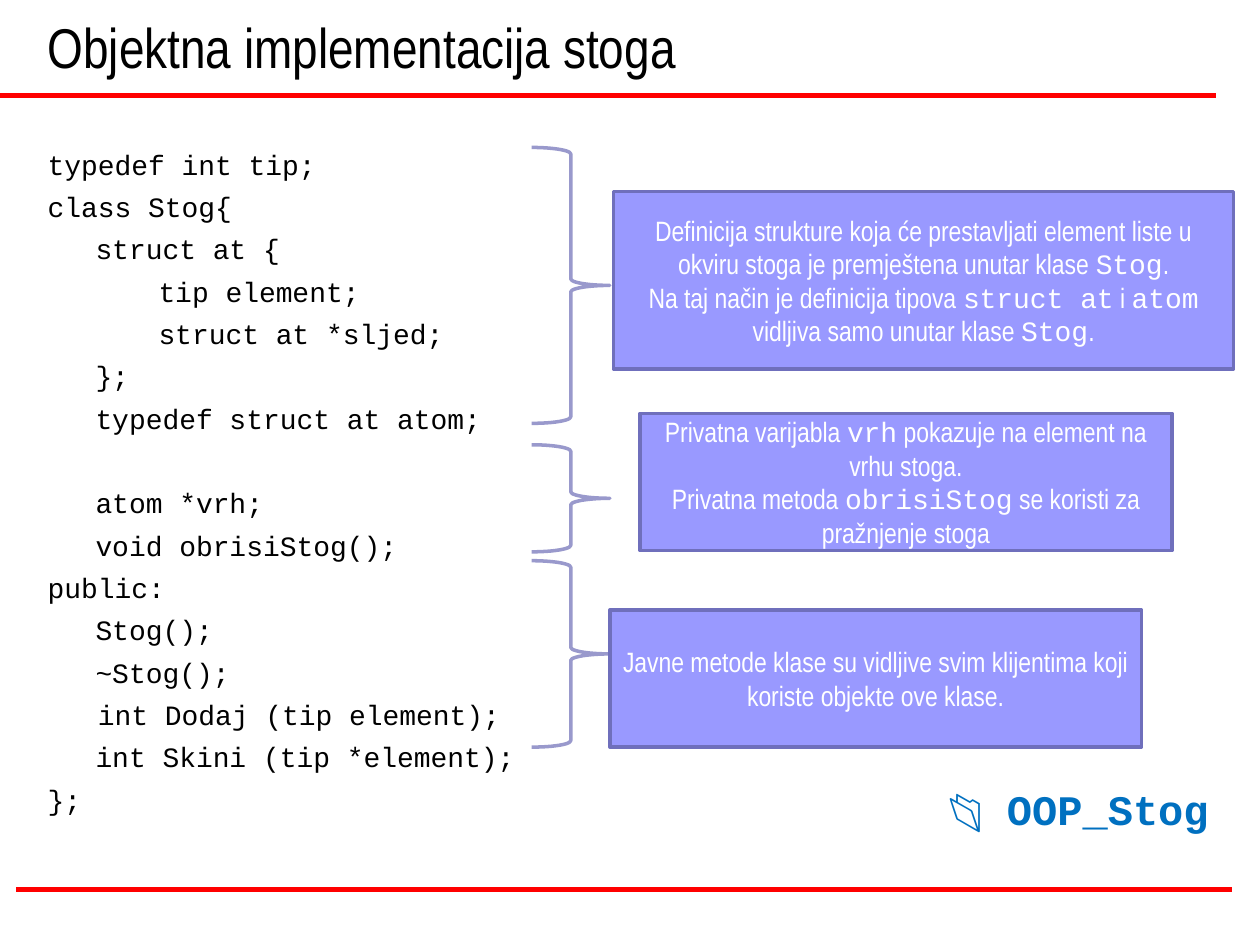
import pptx
import pptx.util
import pptx.dml.color
import pptx.enum.shapes
import pptx.enum.text
import pptx.oxml.ns
from lxml import etree

Inches, Pt = pptx.util.Inches, pptx.util.Pt
RGBColor = pptx.dml.color.RGBColor
Shape = pptx.enum.shapes.MSO_SHAPE
Align, Anchor = pptx.enum.text.PP_ALIGN, pptx.enum.text.MSO_ANCHOR
qn = pptx.oxml.ns.qn

BLACK = RGBColor(0x00, 0x00, 0x00)
WHITE = RGBColor(0xFF, 0xFF, 0xFF)
RED = RGBColor(0xFF, 0x00, 0x00)
BLUE = RGBColor(0x00, 0x70, 0xC0)
LILAC = RGBColor(0x99, 0x99, 0xFF)
LILAC_EDGE = RGBColor(0x6F, 0x6F, 0xBC)
BRACE = RGBColor(0x99, 0x99, 0xCC)
NARROW, MONO = "Arial Narrow", "Courier New"

# Content
TITLE = "Objektna implementacija stoga"
CODE = [
    "typedef int tip;",
    "class Stog{",
    "\tstruct at {",
    "\t\ttip element;",
    "\t\tstruct at *sljed;",
    "\t};",
    "\ttypedef struct at atom;",
    "",
    "\tatom *vrh;",
    "\tvoid obrisiStog();",
    "public:",
    "\tStog();",
    "\t~Stog();",
    "   int Dodaj (tip element);",
    "\tint Skini (tip *element);",
    "};",
]
# Each note: brace (top, height), box (left, top, width, height), paragraphs of (text, font)
NOTES = [
    ((1.17, 2.19), (4.87, 1.52, 4.92, 1.41), [
        [("Definicija strukture koja će prestavljati element liste u okviru stoga "
          "je premještena unutar klase ", NARROW), ("Stog", MONO), (".", NARROW)],
        [("Na taj način je definicija tipova ", NARROW), ("struct at", MONO),
         (" i ", NARROW), ("atom", MONO), (" vidljiva samo unutar klase ", NARROW),
         ("Stog", MONO), (".", NARROW)],
    ]),
    ((3.53, 0.85), (5.08, 3.28, 4.22, 1.09), [
        [("Privatna varijabla ", NARROW), ("vrh", MONO),
         (" pokazuje na element na vrhu stoga.", NARROW)],
        [("Privatna metoda ", NARROW), ("obrisiStog", MONO),
         (" se koristi za pražnjenje stoga", NARROW)],
    ]),
    ((4.45, 1.48), (4.84, 4.84, 4.22, 1.09), [
        [("Javne metode klase su vidljive svim klijentima koji koriste objekte "
          "ove klase.", NARROW)],
    ]),
]
PROJECT = [("📂", "Arial"), (" OOP_Stog", MONO)]
RULES = [(0, 0.76), (0.13, 7.06)]  # left, top
RULE_WIDTH = 9.65
BRACE_LEFT, BRACE_WIDTH = 4.22, 0.62
CODE_INDENT = 0.38


def add_rule(slide, left, top):
    rule = slide.shapes.add_connector(
        pptx.enum.shapes.MSO_CONNECTOR.STRAIGHT,
        Inches(left), Inches(top), Inches(left + RULE_WIDTH), Inches(top))
    rule.line.color.rgb = RED
    rule.line.width = Pt(3)
    etree.SubElement(rule._element.spPr, qn("a:effectLst"))


def add_text_box(slide, *box):
    frame = slide.shapes.add_textbox(*map(Inches, box)).text_frame
    frame.word_wrap = True
    return frame


def add_shape(slide, kind, box, line_color, fill=None):
    shape = slide.shapes.add_shape(kind, *map(Inches, box))
    shape.shadow.inherit = False
    shape.line.color.rgb = line_color
    shape.line.width = Pt(2)
    if fill is None:
        shape.fill.background()
    else:
        shape.fill.solid()
        shape.fill.fore_color.rgb = fill
    return shape


def write(frame, paragraphs, size, color, align=Align.LEFT, bold=False):
    for index, runs in enumerate(paragraphs):
        paragraph = frame.paragraphs[0] if index == 0 else frame.add_paragraph()
        paragraph.alignment = align
        for text, font in runs:
            run = paragraph.add_run()
            run.text = text
            run.font.name = font
            run.font.size = Pt(size)
            run.font.bold = bold
            run.font.color.rgb = color


def set_code_layout(paragraph, first):
    properties = paragraph._p.get_or_add_pPr()
    properties.set("marL", str(Inches(CODE_INDENT)))
    properties.set("indent", str(-Inches(CODE_INDENT)))
    tabs = etree.SubElement(properties, qn("a:tabLst"))
    for position in range(8):
        etree.SubElement(tabs, qn("a:tab"), pos=str(Inches(position)), algn="l")
    paragraph.space_before = Pt(0 if first else 5)
    paragraph.font.size = Pt(16)
    paragraph.font.name = MONO


def main():
    presentation = pptx.Presentation()
    presentation.slide_width, presentation.slide_height = Inches(10), Inches(7.5)
    slide = presentation.slides.add_slide(presentation.slide_layouts[6])

    # Red rules
    for left, top in RULES:
        add_rule(slide, left, top)

    # Title
    title = add_text_box(slide, 0.28, 0, 8.83, 0.68)
    title.vertical_anchor = Anchor.BOTTOM
    write(title, [[(TITLE, NARROW)]], 32, BLACK)

    # Class listing
    code = add_text_box(slide, 0.28, 1.07, 4.65, 5.83)
    code.margin_top = Inches(0.1)
    write(code, [[(line, MONO)] if line else [] for line in CODE], 16, BLACK)
    for index, paragraph in enumerate(code.paragraphs):
        set_code_layout(paragraph, index == 0)

    # Braces with their notes
    for (top, height), box, paragraphs in NOTES:
        add_shape(slide, Shape.RIGHT_BRACE,
                  (BRACE_LEFT, top, BRACE_WIDTH, height), BRACE)
        note = add_shape(slide, Shape.RECTANGLE, box, LILAC_EDGE, LILAC).text_frame
        note.word_wrap = True
        note.vertical_anchor = Anchor.MIDDLE
        write(note, paragraphs, 16, WHITE, Align.CENTER)

    # Project name
    project = add_text_box(slide, 0.77, 6.17, 8.92, 0.5)
    write(project, [PROJECT], 24, BLUE, Align.RIGHT, bold=True)

    presentation.save("out.pptx")


if __name__ == "__main__":
    main()
